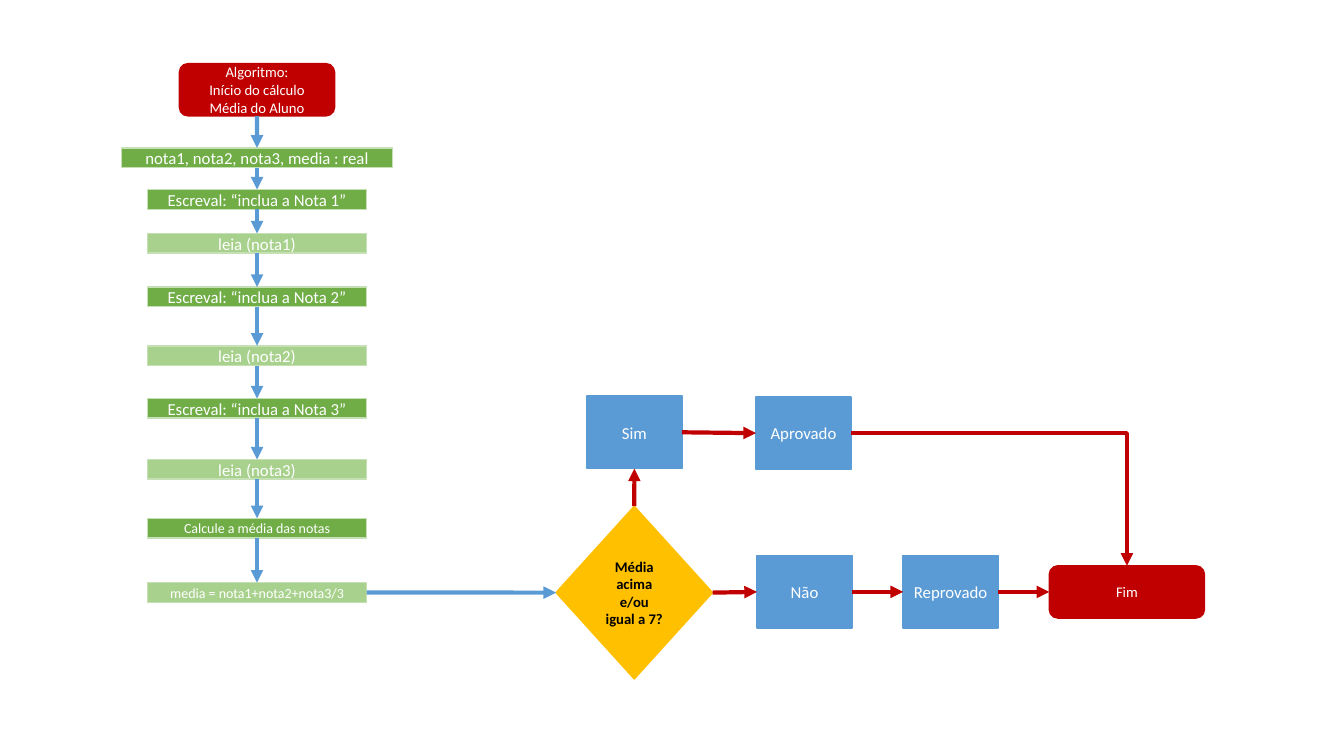
import pptx
import pptx.util
import pptx.dml.color
import pptx.enum.shapes
import pptx.enum.text
import pptx.oxml
import pptx.oxml.ns

Pt = pptx.util.Pt
SHAPES = pptx.enum.shapes.MSO_SHAPE
CONNECTORS = pptx.enum.shapes.MSO_CONNECTOR
TOP, LEFT, BOTTOM, RIGHT = range(4)
RED, BLUE, GOLD = "C00000", "5B9BD5", "FFC000"
GREEN, LIGHT_GREEN, PALE_GREEN = "70AD47", "A9D18E", "C5E0B4"

deck = pptx.Presentation()
deck.slide_width, deck.slide_height = Pt(960), Pt(540)
page = deck.slides.add_slide(deck.slide_layouts[6])


def add_box(text, left, top, width, height, fill, line=None,
            kind=SHAPES.RECTANGLE, size=12, color="FFFFFF", bold=False):
    box = page.shapes.add_shape(kind, Pt(left), Pt(top), Pt(width), Pt(height))
    box.shadow.inherit = False
    box.fill.solid()
    box.fill.fore_color.rgb = pptx.dml.color.RGBColor.from_string(fill)
    box.line.color.rgb = pptx.dml.color.RGBColor.from_string(line or fill)
    box.line.width = Pt(1)
    frame = box.text_frame
    frame.word_wrap = True
    frame.vertical_anchor = pptx.enum.text.MSO_ANCHOR.MIDDLE
    for number, words in enumerate(text.split("\n")):
        para = frame.add_paragraph() if number else frame.paragraphs[0]
        para.alignment = pptx.enum.text.PP_ALIGN.CENTER
        span = para.add_run()
        span.text = words
        span.font.name = "Calibri"
        span.font.size = Pt(size)
        span.font.bold = bold
        span.font.color.rgb = pptx.dml.color.RGBColor.from_string(color)
    return box


def add_arrow(start, start_side, end, end_side, color, kind=CONNECTORS.STRAIGHT):
    arrow = page.shapes.add_connector(kind, 0, 0, 0, 0)
    arrow.begin_connect(start, start_side)
    arrow.end_connect(end, end_side)
    arrow.line.color.rgb = pptx.dml.color.RGBColor.from_string(color)
    arrow.line.width = Pt(3)
    properties = arrow.element.spPr
    outline = properties.find(pptx.oxml.ns.qn("a:ln"))
    outline.append(pptx.oxml.parse_xml(
        f'<a:tailEnd {pptx.oxml.ns.nsdecls("a")} type="triangle"/>'))
    properties.append(pptx.oxml.parse_xml(
        f'<a:effectLst {pptx.oxml.ns.nsdecls("a")}/>'))
    return arrow


column_center = 183.6
terminal = dict(width=110.9, height=37.4, fill=RED,
                kind=SHAPES.ROUNDED_RECTANGLE, size=10.5)
previous = add_box("Algoritmo:\nInício do cálculo Média do Aluno",
                   column_center - 55.45, 45.4, **terminal)

steps = [
    ("nota1, nota2, nota3, media : real", 105.6, 193.7, GREEN, 12),
    ("Escreval: “inclua a Nota 1”", 135.4, 156.5, GREEN, 12),
    ("leia (nota1)", 166.8, 156.5, LIGHT_GREEN, 12),
    ("Escreval: “inclua a Nota 2”", 205, 156.5, GREEN, 12),
    ("leia (nota2)", 247, 156.5, LIGHT_GREEN, 12),
    ("Escreval: “inclua a Nota 3”", 284.6, 156.5, GREEN, 12),
    ("leia (nota3)", 328.2, 156.5, LIGHT_GREEN, 12),
    ("Calcule a média das notas", 370.2, 156.5, GREEN, 10),
    ("media = nota1+nota2+nota3/3", 416.2, 156.5, LIGHT_GREEN, 10),
]
for text, top, width, fill, size in steps:
    step = add_box(text, column_center - width / 2, top, width, 14.1,
                   fill, line=PALE_GREEN, size=size)
    add_arrow(previous, BOTTOM, step, TOP, BLUE)
    previous = step

decision = add_box("Média acima e/ou igual a 7?", 397.2, 361.6, 111.8, 123.4,
                   GOLD, kind=SHAPES.DIAMOND, size=10.5, color="000000", bold=True)
answer = dict(width=67.9, height=51.8, fill=BLUE)
yes = add_box("Sim", 419.2, 282.9, **answer)
passed = add_box("Aprovado", 540, 283.5, **answer)
no = add_box("Não", 540.7, 396.9, **answer)
failed = add_box("Reprovado", 645.1, 396.9, **answer)
finish = add_box("Fim", 749.5, 404.1, **terminal)

add_arrow(previous, RIGHT, decision, LEFT, BLUE)
add_arrow(decision, TOP, yes, BOTTOM, RED)
for start, end in [(yes, passed), (decision, no), (no, failed), (failed, finish)]:
    add_arrow(start, RIGHT, end, LEFT, RED)
elbow = add_arrow(passed, RIGHT, finish, TOP, RED, CONNECTORS.ELBOW)
elbow.element.spPr.find(pptx.oxml.ns.qn("a:prstGeom")).set("prst", "bentConnector2")

deck.save("out.pptx")
